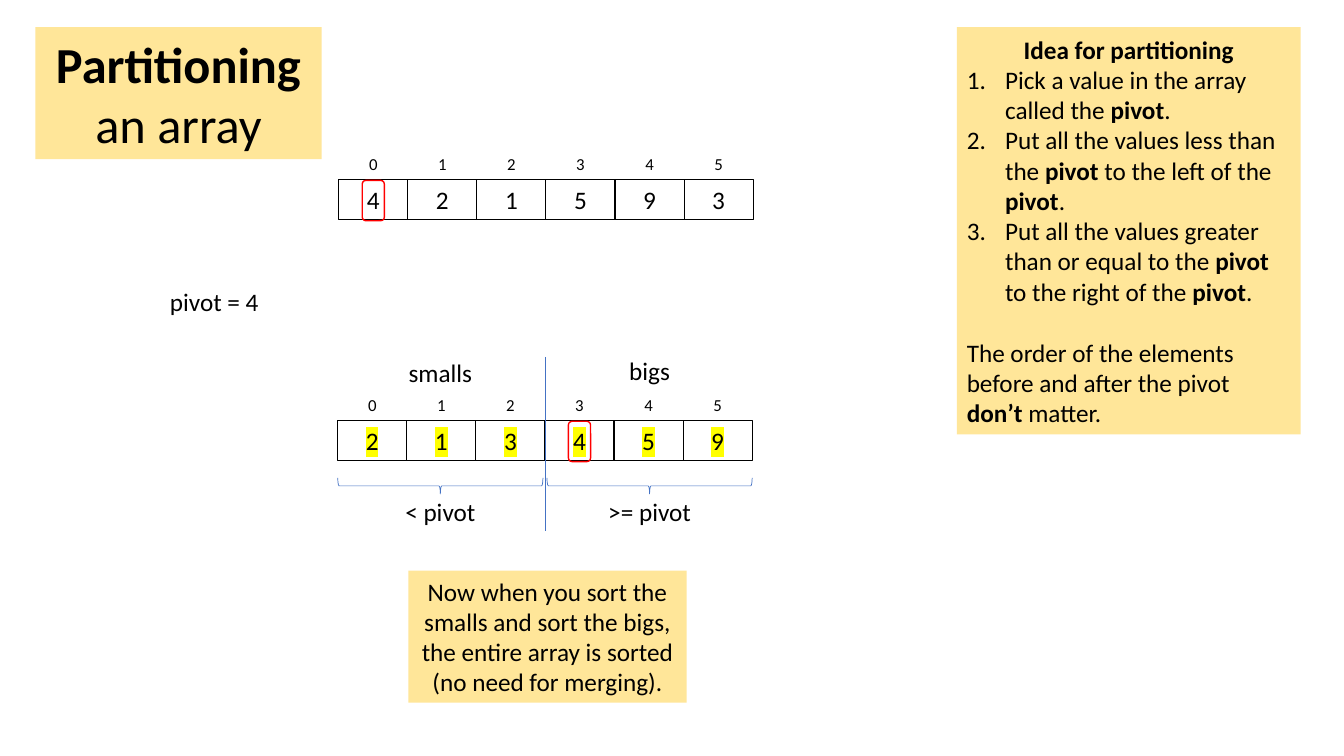
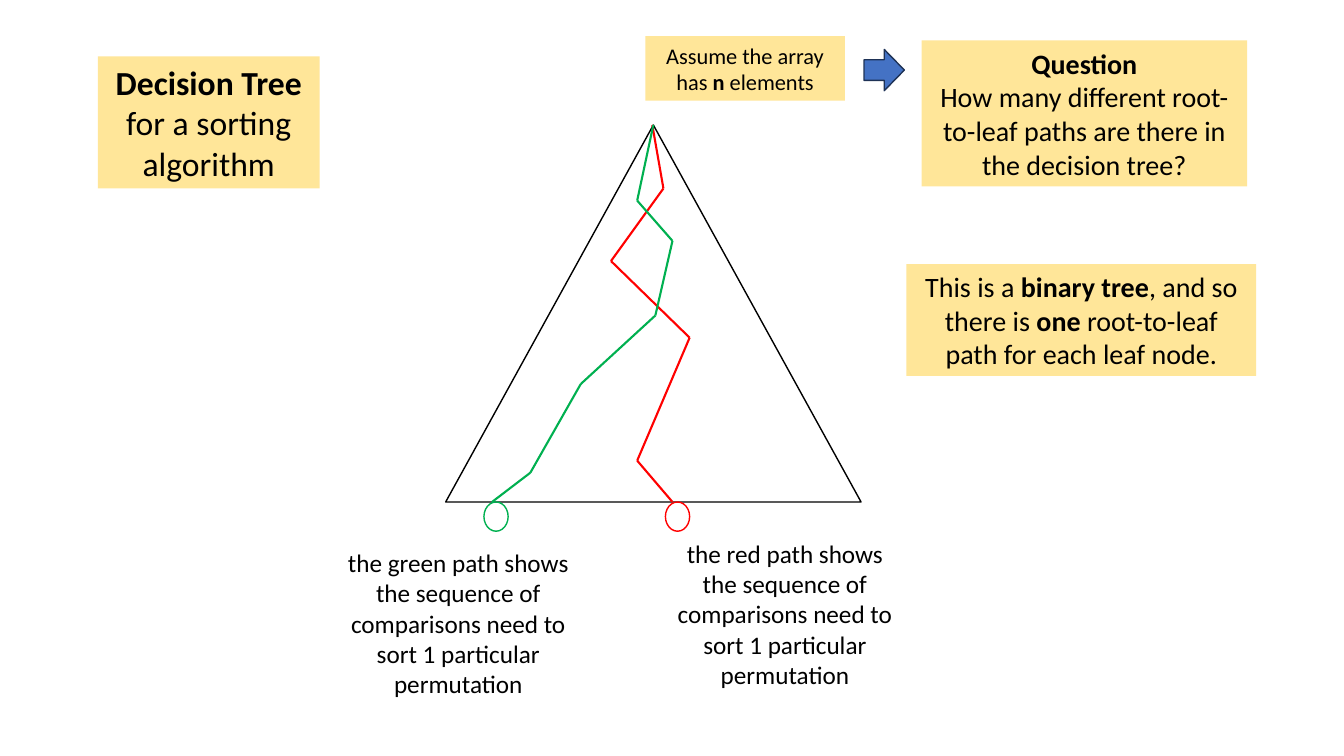
from dataclasses import dataclass
from itertools import pairwise

from lxml import etree
from pptx import Presentation
from pptx.dml.color import RGBColor
from pptx.enum.shapes import MSO_CONNECTOR, MSO_SHAPE
from pptx.enum.text import MSO_ANCHOR, MSO_AUTO_SIZE, PP_ALIGN
from pptx.oxml.ns import qn
from pptx.util import Pt

RECT, ROUNDED = MSO_SHAPE.RECTANGLE, MSO_SHAPE.ROUNDED_RECTANGLE
BRACE, TRIANGLE = MSO_SHAPE.LEFT_BRACE, MSO_SHAPE.ISOSCELES_TRIANGLE
OVAL, ARROW = MSO_SHAPE.OVAL, MSO_SHAPE.RIGHT_ARROW
STRAIGHT = MSO_CONNECTOR.STRAIGHT
LEFT, CENTER = PP_ALIGN.LEFT, PP_ALIGN.CENTER
MIDDLE, NO_FIT = MSO_ANCHOR.MIDDLE, MSO_AUTO_SIZE.NONE
TITLE_ONLY = 5
EMU_PER_PX = 9144  # 100 px to the inch


@dataclass(frozen=True)
class Theme:
    font: str = "Calibri"
    ink: str = "000000"
    note: str = "FFE699"
    blue: str = "4472C4"
    navy: str = "1E3256"
    red: str = "FF0000"
    green: str = "00B050"
    marker: str = "FFFF00"
    big_title: int = 36
    title: int = 24
    question: int = 20
    body: int = 18
    remark: int = 16
    index: int = 12


THEME = Theme()


def px(length):
    return round(length * EMU_PER_PX)


def place(shape, box):
    shape.left, shape.top, shape.width, shape.height = map(px, box)


# Text: **double stars** mark bold, \v breaks the line
def write_runs(paragraph, marked, size):
    for part, words in enumerate(marked.split("**")):
        for row, line in enumerate(words.split("\v")):
            if row:
                paragraph.add_line_break()
            if line:
                run = paragraph.add_run()
                run.text = line
                run.font.name = THEME.font
                run.font.size = Pt(size)
                run.font.bold = part % 2 == 1
                run.font.color.rgb = RGBColor.from_string(THEME.ink)


def write(shape, lines, size, wrap=True):
    frame = shape.text_frame
    frame.word_wrap = wrap
    frame.auto_size = NO_FIT
    frame.vertical_anchor = MIDDLE
    for position, line in enumerate(lines):
        paragraph = frame.add_paragraph() if position else frame.paragraphs[0]
        paragraph.alignment = CENTER
        write_runs(paragraph, line, size)
    return frame


def number(paragraph):
    properties = paragraph._p.get_or_add_pPr()
    properties.set("marL", str(px(38)))
    properties.set("indent", str(-px(38)))
    bullet = etree.SubElement(properties, qn("a:buAutoNum"))
    bullet.set("type", "arabicPeriod")


def highlight(run):
    mark = etree.Element(qn("a:highlight"))
    etree.SubElement(mark, qn("a:srgbClr")).set("val", THEME.marker)
    run._r.rPr.find(qn("a:solidFill")).addnext(mark)


# Shapes and lines
def add_shape(slide, kind, box, fill=None, line=None, width=1):
    shape = slide.shapes.add_shape(kind, *map(px, box))
    shape.shadow.inherit = False
    if fill:
        shape.fill.solid()
        shape.fill.fore_color.rgb = RGBColor.from_string(fill)
    else:
        shape.fill.background()
    if line:
        shape.line.color.rgb = RGBColor.from_string(line)
        shape.line.width = Pt(width)
    else:
        shape.line.fill.background()
    return shape


def add_line(slide, start, end, color, width):
    line = slide.shapes.add_connector(STRAIGHT, *map(px, (*start, *end)))
    line.line.color.rgb = RGBColor.from_string(color)
    line.line.width = Pt(width)
    etree.SubElement(line._element.spPr, qn("a:effectLst"))


def add_label(slide, box, text, size=THEME.body, wrap=False):
    write(slide.shapes.add_textbox(*map(px, box)), [text], size, wrap)


def add_note(slide, box, lines, size=THEME.body):
    return write(add_shape(slide, RECT, box, fill=THEME.note), lines, size)


def titled_slide(deck, box, text, size):
    slide = deck.slides.add_slide(deck.slide_layouts[TITLE_ONLY])
    title = slide.shapes.title
    place(title, box)
    title.fill.solid()
    title.fill.fore_color.rgb = RGBColor.from_string(THEME.note)
    write(title, [text], size)
    return slide


# Array with indexes above the cells and a ring around the pivot
def add_array(slide, box, values, pivot, marked=False):
    left, top, width, height = box
    pitch = width / len(values)
    index_height, cell_height = 30, 40
    cell_top = top + height - cell_height
    for index, value in enumerate(values):
        x = left + index * pitch
        cell = add_shape(slide, RECT, (x, cell_top, pitch, cell_height),
                         line=THEME.ink, width=0.75)
        frame = write(cell, [str(value)], THEME.body)
        if marked:
            highlight(frame.paragraphs[0].runs[0])
        add_label(slide, (x, top, pitch, index_height), str(index),
                  THEME.index, wrap=True)
    ring_width = 22
    ring_left = left + (pivot + 0.5) * pitch - ring_width / 2
    add_shape(slide, ROUNDED, (ring_left, cell_top + 1, ring_width, cell_height),
              line=THEME.red)


# Brace opening upwards, with its tip pointing down
def add_brace(slide, box):
    left, top, width, height = box
    shift = (width - height) / 2
    brace = add_shape(slide, BRACE, (left + shift, top - shift, height, width),
                      line=THEME.blue, width=0.5)
    brace.rotation = 270


# The two halves on either side of the divider
def add_halves(slide, box):
    left, top, width, height = box
    middle = left + width / 2
    add_line(slide, (middle, top), (middle, top + height), THEME.blue, 0.5)
    halves = (("smalls", "< pivot", left, 0), ("bigs", ">= pivot", middle + 2, -1))
    for name, condition, x, lift in halves:
        half = width / 2 - 2
        add_label(slide, (x, top - 5 + lift, half, 40), name)
        add_brace(slide, (x, top + 120, half, 16))
        add_label(slide, (x, top + 133, half, 40), condition)


def add_idea(slide, box):
    heading, *steps, remark = add_note(slide, box, [
        "**Idea for partitioning**",
        "Pick a value in the array called the **pivot**.",
        "Put all the values less than the **pivot** to the left of the **pivot**.",
        "Put all the values greater than or equal to the **pivot** "
        "to the right of the **pivot**.",
        "The order of the elements before and after the pivot **don’t** matter.",
    ]).paragraphs
    for step in steps:
        step.alignment = LEFT
        number(step)
    remark.alignment = LEFT
    remark.space_before = Pt(22)


def partitioning_slide(deck):
    slide = titled_slide(deck, (35, 27, 284, 131), "**Partitioning** an array",
                         THEME.big_title)
    add_array(slide, (336, 148, 411, 70), (4, 2, 1, 5, 9, 3), pivot=0)
    add_label(slide, (158, 279, 109, 40), "pivot = 4")
    add_array(slide, (335, 387, 411, 70), (2, 1, 3, 4, 5, 9), pivot=3, marked=True)
    add_halves(slide, (335, 354, 411, 173))
    add_note(slide, (405, 566, 276, 131),
             ["Now when you sort the smalls and sort the bigs, "
              "the entire array is sorted (no need for merging)."])
    add_idea(slide, (949, 27, 341, 404))


# Triangle with root-to-leaf paths, each ending in a leaf on the base
def add_tree(slide, box, paths):
    left, top, width, height = box
    add_shape(slide, TRIANGLE, box, line=THEME.ink)
    for color, leaf_left, stops in paths:
        points = [(left + x, top + y) for x, y in stops]
        for start, end in pairwise(points):
            add_line(slide, start, end, color, 1.5)
        add_shape(slide, OVAL, (left + leaf_left, top + height, 24, 29), line=color)


def decision_tree_slide(deck):
    slide = titled_slide(deck, (97, 56, 220, 131),
                         "**Decision Tree**\vfor a sorting algorithm", THEME.title)
    red_stops = ((205, 0), (216, 63), (164, 135), (242, 211), (190, 333), (225, 374))
    green_stops = ((206, 0), (190, 75), (225, 115), (208, 189), (134, 257),
                   (84, 345), (46, 374))
    add_tree(slide, (442, 124, 412, 374),
             ((THEME.red, 218, red_stops), (THEME.green, 38, green_stops)))
    for color, box in (("green", (334, 537, 241, 162)), ("red", (658, 528, 241, 162))):
        add_label(slide, box, f"the {color} path shows the sequence of comparisons "
                  "need to sort 1 particular permutation", wrap=True)
    # Assumption, question and answer
    add_note(slide, (640, 36, 198, 64), ["Assume the array has **n** elements"],
             THEME.remark)
    add_shape(slide, ARROW, (857, 49, 40, 41), fill=THEME.blue, line=THEME.navy)
    add_note(slide, (914, 40, 323, 145),
             ["**Question**\vHow many different root-to-leaf paths are there "
              "in the decision tree?"], THEME.question)
    add_note(slide, (899, 262, 347, 111),
             ["This is a **binary tree**, and so there is **one** root-to-leaf "
              "path for each leaf node."], THEME.question)


def main():
    deck = Presentation()
    deck.slide_width, deck.slide_height = px(1333), px(750)
    partitioning_slide(deck)
    decision_tree_slide(deck)
    deck.save("out.pptx")


if __name__ == "__main__":
    main()
